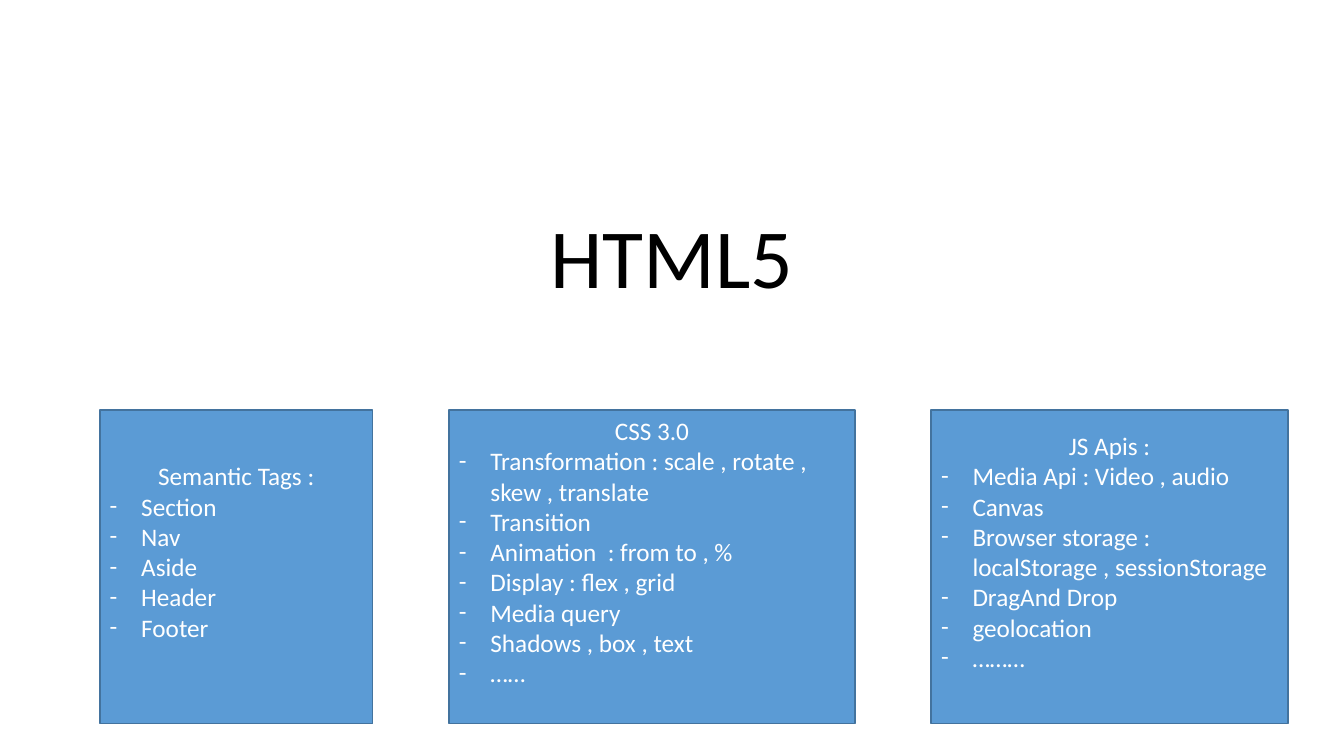
"""Build the HTML5 overview slide with a title and three topic boxes."""
from lxml import etree
from pptx import Presentation
from pptx.dml.color import RGBColor
from pptx.enum import shapes, text
from pptx.oxml import ns
from pptx.util import Pt


def color(value):
    return RGBColor.from_string(value)


def write(paragraph, content, size, hex_color, alignment):
    paragraph.alignment = alignment
    run = paragraph.add_run()
    run.text = content
    for name, value in {"name": "Calibri", "size": Pt(size)}.items():
        setattr(run.font, name, value)
    run.font.color.rgb = color(hex_color)


ALIGN = text.PP_ALIGN
BOX_TOP, BOX_HEIGHT, BOX_GAP = 293, 224, 54.4
INDENT = 22.5
TOPICS = [
    ("Semantic Tags :", 195, ["Section", "Nav", "Aside", "Header", "Footer"]),
    ("CSS 3.0", 290, [
        "Transformation : scale , rotate , skew , translate",
        "Transition",
        "Animation  : from to , %",
        "Display : flex , grid",
        "Media query",
        "Shadows , box , text",
        "……",
    ]),
    ("JS Apis :", 255, [
        "Media Api : Video , audio",
        "Canvas",
        "Browser storage : localStorage , sessionStorage",
        "DragAnd Drop",
        "geolocation",
        "………",
    ]),
]

presentation = Presentation()
presentation.slide_width, presentation.slide_height = Pt(960), Pt(540)
slide = presentation.slides.add_slide(presentation.slide_layouts[6])

title = slide.shapes.add_textbox(Pt(120), Pt(129), Pt(720), Pt(93.5))
title_format = {"word_wrap": True, "vertical_anchor": text.MSO_ANCHOR.BOTTOM}
for name, value in title_format.items():
    setattr(title.text_frame, name, value)
title_paragraph = title.text_frame.paragraphs[0]
title_paragraph.line_spacing = 0.9
write(title_paragraph, "HTML5", 60, "000000", ALIGN.CENTER)

box_format = {
    "word_wrap": True,
    "vertical_anchor": text.MSO_ANCHOR.MIDDLE,
    "margin_bottom": Pt(25.6),
}
left = 71.3
for heading, width, items in TOPICS:
    box = slide.shapes.add_shape(
        shapes.MSO_SHAPE.RECTANGLE, Pt(left), Pt(BOX_TOP), Pt(width), Pt(BOX_HEIGHT))
    box.shadow.inherit = False
    box.fill.solid()
    box.fill.fore_color.rgb = color("5B9BD5")
    box.line.color.rgb = color("43739E")
    box.line.width = Pt(1)
    for name, value in box_format.items():
        setattr(box.text_frame, name, value)
    write(box.text_frame.paragraphs[0], heading, 18, "FFFFFF", ALIGN.CENTER)
    for item in items:
        paragraph = box.text_frame.add_paragraph()
        write(paragraph, item, 18, "FFFFFF", ALIGN.LEFT)
        properties = paragraph._p.get_or_add_pPr()
        properties.set("marL", str(Pt(INDENT)))
        properties.set("indent", str(-Pt(INDENT)))
        etree.SubElement(properties, ns.qn("a:buFont"), typeface="Calibri")
        etree.SubElement(properties, ns.qn("a:buChar"), char="-")
    left += width + BOX_GAP

presentation.save("out.pptx")
